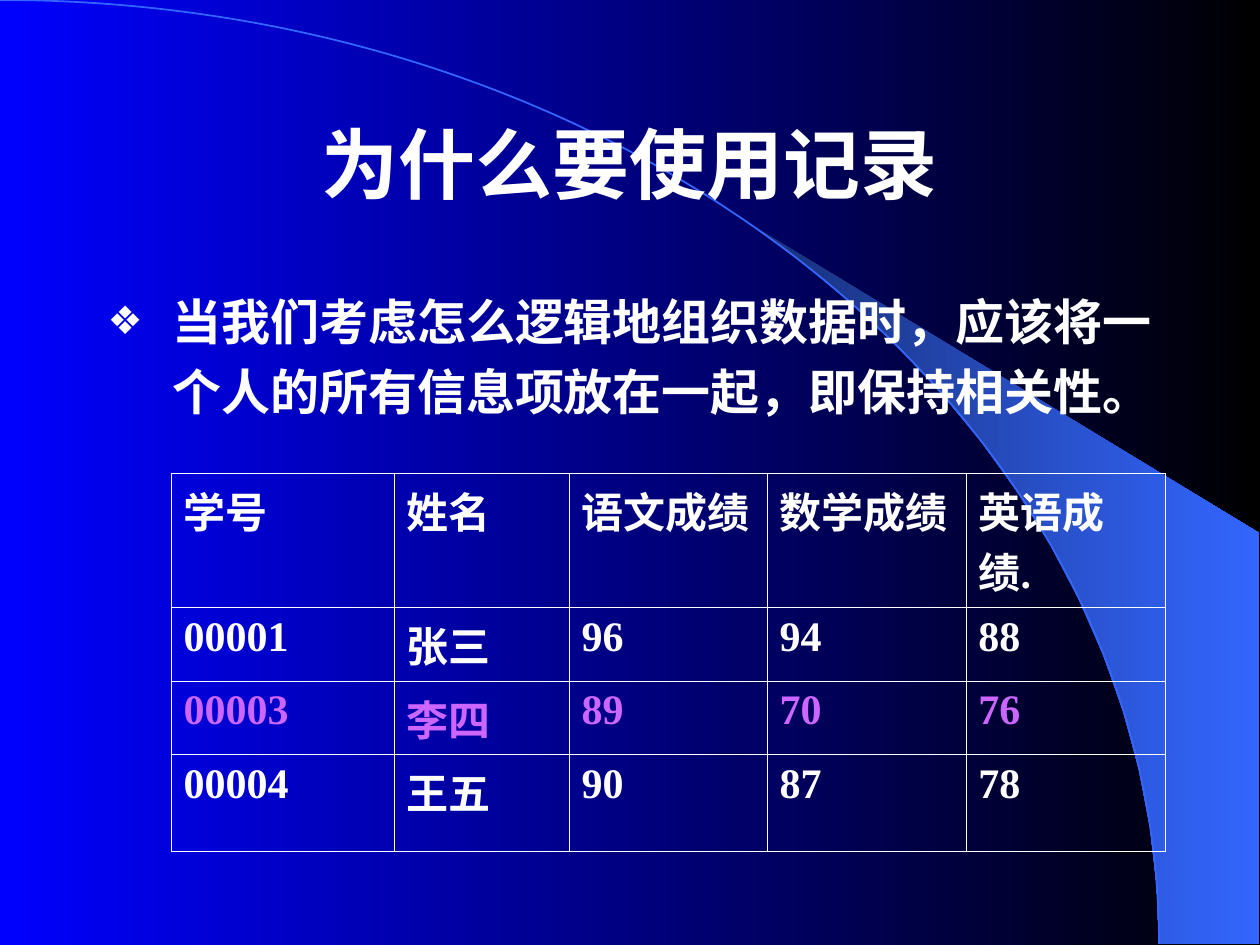
from dataclasses import dataclass
from math import cos, radians, sin

from lxml.etree import SubElement
from pptx import Presentation
from pptx.dml.color import RGBColor
from pptx.enum.text import MSO_ANCHOR as Anchor, MSO_AUTO_SIZE as Fit, PP_ALIGN as Align
from pptx.oxml.ns import qn
from pptx.util import Emu, Pt

SCALE = 914400 / 126
COLORS = {
    "blue": "0000FF", "black": "000000", "navy": "182F76",
    "sky": "3366FF", "white": "FFFFFF", "violet": "CC66FF",
}
HAN = "Noto Sans CJK SC"
ARC_W, ARC_H = 1159, 944
RIGHT = 1259
STEPS = 14
COLS = [223, 175, 198, 199, 199]


@dataclass
class Row:
    high: int
    cells: list[str]
    color: str = "white"


ROWS = [
    Row(113, ["学号", "姓名", "语文成绩", "数学成绩", "英语成绩."]),
    Row(69, ["00001", "张三", "96", "94", "88"]),
    Row(69, ["00003", "李四", "89", "70", "76"], "violet"),
    Row(97, ["00004", "王五", "90", "87", "78"]),
]


def px(n: float) -> Emu:
    return Emu(round(n * SCALE))


def rgb(name: str) -> RGBColor:
    return RGBColor.from_string(COLORS[name])


def shade(fill, first: str, last: str) -> None:
    """Fill with a gradient that runs from left to right."""
    fill.gradient()
    fill.gradient_angle = 0
    for stop, name in zip(fill.gradient_stops, (first, last)):
        stop.color.rgb = rgb(name)


def style(para, size: int, face: str, color: str = "white") -> None:
    for run in para.runs:
        font = run.font
        font.size, font.bold, font.name = Pt(size), True, face
        font.color.rgb = rgb(color)
        SubElement(run._r.get_or_add_rPr(), qn("a:ea"), typeface=HAN)


def place(shape, left: int, top: int, wide: int, high: int) -> None:
    shape.left, shape.top = px(left), px(top)
    shape.width, shape.height = px(wide), px(high)


def outline(slide, points: list[tuple[float, float]], closed: bool, layer: int):
    """Draw a freeform and put it behind the text."""
    spots = [(px(x), px(y)) for x, y in points]
    pen = slide.shapes.build_freeform(*spots[0])
    pen.add_line_segments(spots[1:], close=closed)
    shape = pen.convert_to_shape()
    shape.shadow.inherit = False
    slide.shapes._spTree.insert(2 + layer, shape._element)
    return shape


def bend(shape) -> None:
    """Turn three line segments into one Bezier curve."""
    track = next(shape._element.iter(qn("a:path")))
    lines = track.findall(qn("a:lnTo"))
    curve = SubElement(track, qn("a:cubicBezTo"))
    for line in lines:
        curve.append(line[0])
        track.remove(line)


def draw_back(slide) -> None:
    shade(slide.background.fill, "blue", "black")
    turns = [radians(40 + 50 * i / STEPS) for i in range(STEPS + 1)]
    rim = [(ARC_W * sin(t), ARC_H * (1 - cos(t))) for t in turns]
    band = outline(slide, rim + [(RIGHT, ARC_H), (RIGHT, 533)], True, 0)
    shade(band.fill, "navy", "sky")
    band.line.fill.background()
    arc = outline(slide, [(0, 0), (640, 0), (ARC_W, 422), (ARC_W, ARC_H)], False, 1)
    bend(arc)
    arc.fill.background()
    arc.line.color.rgb = rgb("sky")
    arc.line.width = Pt(1)


def draw_title(shape) -> None:
    place(shape, 94, 84, 1071, 158)
    frame = shape.text_frame
    frame.text = "为什么要使用记录"
    frame.auto_size, frame.vertical_anchor = Fit.NONE, Anchor.MIDDLE
    frame.paragraphs[0].alignment = Align.CENTER
    style(frame.paragraphs[0], 44, "Arial")


def draw_body(shape) -> None:
    place(shape, 95, 273, 1106, 194)
    frame = shape.text_frame
    frame.text = "当我们考虑怎么逻辑地组织数据时，应该将一个人的所有信息项放在一起，即保持相关性。"
    frame.auto_size, frame.vertical_anchor = Fit.NONE, Anchor.TOP
    para = frame.paragraphs[0]
    props = para._p.get_or_add_pPr()
    props.set("marL", str(px(65)))
    props.set("indent", str(px(-65)))
    tint = SubElement(props, qn("a:buClr"))
    SubElement(tint, qn("a:srgbClr"), val=COLORS["white"])
    SubElement(props, qn("a:buSzPct"), val="80000")
    SubElement(props, qn("a:buChar"), char="❖")
    para.line_spacing, para.space_before = 1.2, Pt(0)
    style(para, 28, HAN)


def frame_cell(cell) -> None:
    """Give a cell thin white borders and no fill."""
    props = cell._tc.get_or_add_tcPr()
    for side in ("lnL", "lnR", "lnT", "lnB"):
        line = SubElement(props, qn(f"a:{side}"), w=str(Pt(0.45)))
        fill = SubElement(line, qn("a:solidFill"))
        SubElement(fill, qn("a:srgbClr"), val=COLORS["white"])
    cell.fill.background()


def draw_table(slide) -> None:
    high = sum(row.high for row in ROWS)
    table = slide.shapes.add_table(
        len(ROWS), len(COLS), px(171), px(473), px(sum(COLS)), px(high)).table
    table.first_row = table.horz_banding = False
    for col, wide in zip(table.columns, COLS):
        col.width = px(wide)
    for line, row in zip(table.rows, ROWS):
        line.height = px(row.high)
        for cell, text in zip(line.cells, row.cells):
            cell.text = text
            para = cell.text_frame.paragraphs[0]
            para._p.get_or_add_pPr().set("hangingPunct", "0")
            style(para, 24, "Times New Roman", row.color)
            frame_cell(cell)


def main() -> None:
    deck = Presentation()
    deck.slide_width, deck.slide_height = px(1260), px(945)
    slide = deck.slides.add_slide(deck.slide_layouts[1])
    draw_back(slide)
    draw_title(slide.shapes.title)
    draw_body(slide.placeholders[1])
    draw_table(slide)
    deck.save("out.pptx")


if __name__ == "__main__":
    main()
